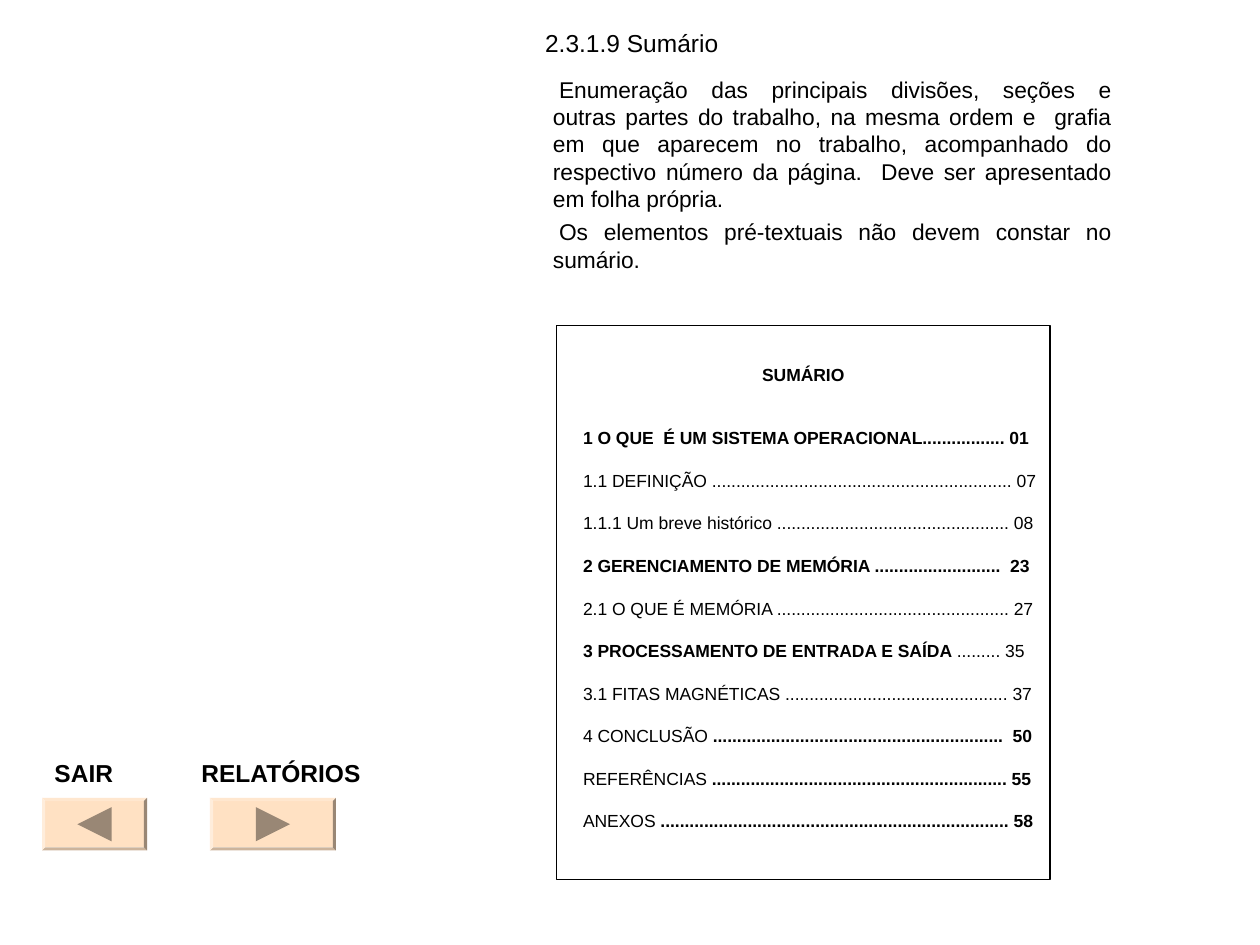
"""Build the slide that explains the table of contents of an academic report."""
import pptx
import pptx.dml.color
import pptx.enum.shapes
import pptx.enum.text
import pptx.oxml.ns
import pptx.util
from lxml import etree

Pt = pptx.util.Pt
SHAPE = pptx.enum.shapes.MSO_SHAPE
ALIGN = pptx.enum.text.PP_ALIGN
ANCHOR = pptx.enum.text.MSO_ANCHOR
COLORS = {name: pptx.dml.color.RGBColor.from_string(value) for name, value in {
    "text": "000000", "paper": "FFFFFF", "button": "FFE1C3", "arrow": "998775"}.items()}

INTRO = [
    "Enumeração das principais divisões, seções e\voutras partes do trabalho, na mesma ordem e  "
    "grafia em que aparecem no trabalho, acompanhado do respectivo número da página.  "
    "Deve ser apresentado em folha própria.",
    "Os elementos pré-textuais não devem constar no sumário.",
]
ENTRIES = [
    ("1 O QUE  É UM SISTEMA OPERACIONAL", True, "", 17, " 01", True),
    ("1.1 DEFINIÇÃO", False, " ", 62, " 07", False),
    ("1.1.1 Um breve histórico", False, " ", 48, " 08", False),
    ("2 GERENCIAMENTO DE MEMÓRIA", True, " ", 26, "  23", True),
    ("2.1 O QUE É MEMÓRIA", False, " ", 48, " 27", False),
    ("3 PROCESSAMENTO DE ENTRADA E SAÍDA", True, " ", 9, " 35", False),
    ("3.1 FITAS MAGNÉTICAS", False, " ", 46, " 37", False),
    ("4 CONCLUSÃO", False, " ", 60, "  50", True),
    ("REFERÊNCIAS", False, " ", 61, " 55", True),
    ("ANEXOS", False, " ", 72, " 58", True),
]
BUTTONS = [
    ("SAIR", 24, 60, 24, 60, 180),
    ("RELATÓRIOS", 108, 114, 120, 72, 0),
]


def set_frame(sp, left, top, width, height, margins, anchor=ANCHOR.TOP):
    sp.left, sp.top, sp.width, sp.height = Pt(left), Pt(top), Pt(width), Pt(height)
    tf = sp.text_frame
    tf.word_wrap = True
    tf.auto_size = pptx.enum.text.MSO_AUTO_SIZE.NONE
    tf.vertical_anchor = anchor
    tf.margin_left, tf.margin_top, tf.margin_right, tf.margin_bottom = map(Pt, margins)
    return tf


def format_runs(p, size, bold=False):
    for r in p.runs:
        r.font.name = "Arial"
        r.font.size = Pt(size)
        r.font.bold = bold
        r.font.color.rgb = COLORS["text"]


prs = pptx.Presentation()
prs.slide_width, prs.slide_height = Pt(720), Pt(540)
s = prs.slides.add_slide(prs.slide_layouts[1])

tf = set_frame(s.shapes.title, 282, 12.2, 360, 26, (29.5, 3.6, 7.2, 0))
tf.text = "2.3.1.9 Sumário"
tf.paragraphs[0].alignment = ALIGN.LEFT
format_runs(tf.paragraphs[0], 14)

tf = set_frame(s.placeholders[1], 282, 39.5, 360, 130, (34, 3.6, 7.2, 3.6))
for i, text in enumerate(INTRO):
    p = tf.paragraphs[0] if i == 0 else tf.add_paragraph()
    p.text = text
    pPr = p._p.get_or_add_pPr()
    pPr.set("marL", "0")
    pPr.set("indent", str(Pt(3.5)))
    etree.SubElement(pPr, pptx.oxml.ns.qn("a:buNone"))
    p.alignment = ALIGN.JUSTIFY
    p.line_spacing = Pt(15.65)
    p.space_before = Pt(3.2 if i else 0)
    format_runs(p, 13)

sp = s.shapes.add_shape(SHAPE.RECTANGLE, 0, 0, 0, 0)
sp.shadow.inherit = False
sp.fill.solid()
sp.fill.fore_color.rgb = COLORS["paper"]
sp.line.color.rgb = COLORS["text"]
sp.line.width = Pt(0.75)
tf = set_frame(sp, 318, 186, 282, 316.8, (0, 10, 0, 0))
tf.text = "SUMÁRIO"
p = tf.paragraphs[0]
p.alignment = ALIGN.CENTER
p.line_spacing = Pt(24.3)
format_runs(p, 10, True)
for i, (name, name_bold, gap, dots, page, page_bold) in enumerate(ENTRIES):
    p = tf.add_paragraph()
    p._p.get_or_add_pPr().set("marL", str(Pt(15.2)))
    p.alignment = ALIGN.LEFT
    p.line_spacing = Pt(24.3)
    p.space_before = Pt(0 if i else 11.7)
    p.add_run().text = name
    p.add_run().text = gap + "." * dots + page
    format_runs(p, 10)
    for r, bold in zip(p.runs, (name_bold, page_bold)):
        r.font.bold = bold

for label, label_left, label_width, left, width, rotation in BUTTONS:
    sp = s.shapes.add_textbox(0, 0, 0, 0)
    tf = set_frame(sp, label_left, 420, label_width, 32.4, (7.2, 3.6, 7.2, 2.6), ANCHOR.BOTTOM)
    tf.text = label
    format_runs(tf.paragraphs[0], 14, True)

    sp = s.shapes.add_shape(SHAPE.BEVEL, Pt(left), Pt(456), Pt(width), Pt(30))
    sp.adjustments[0] = 0.06
    arrow = s.shapes.add_shape(
        SHAPE.ISOSCELES_TRIANGLE, Pt(left + width / 2 - 9.75), Pt(461.25), Pt(19.5), Pt(19.5))
    arrow.rotation = 90 + rotation
    for part, color in ((sp, "button"), (arrow, "arrow")):
        part.shadow.inherit = False
        part.fill.solid()
        part.fill.fore_color.rgb = COLORS[color]
        part.line.fill.background()

prs.save("out.pptx")
